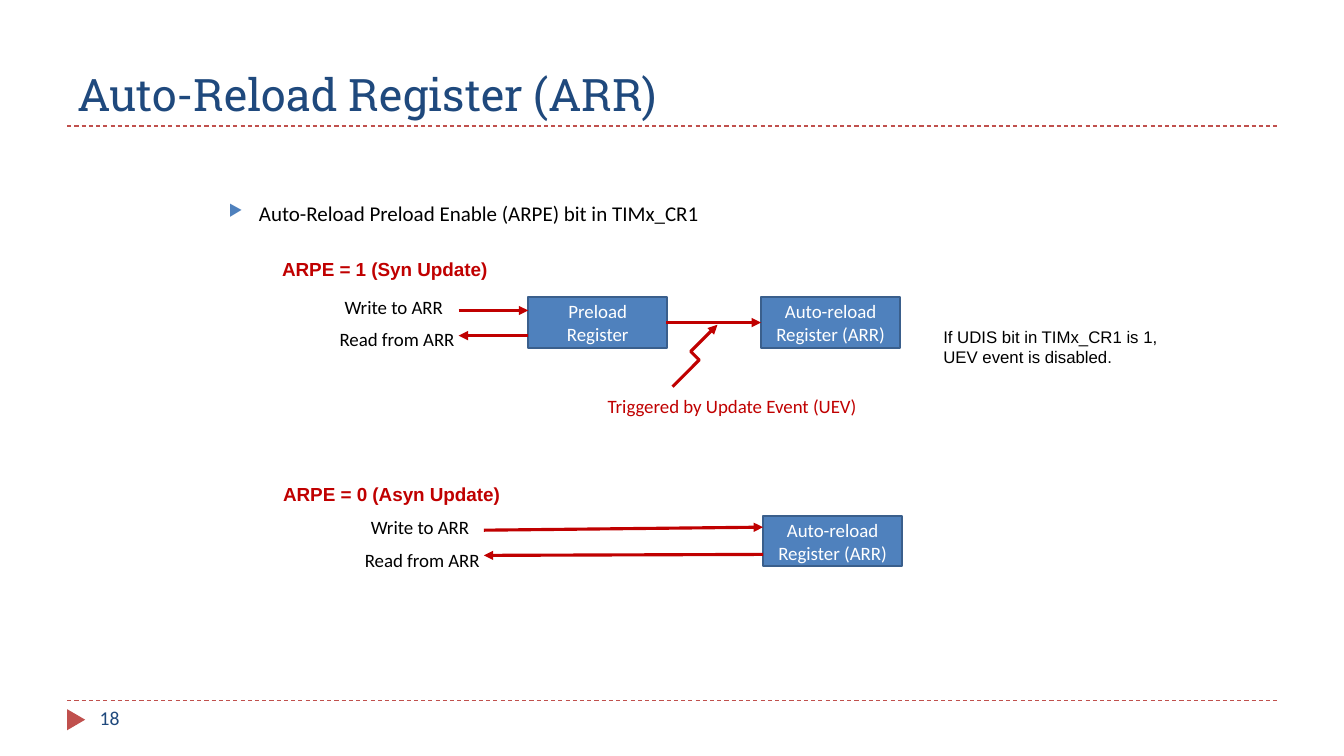
from dataclasses import dataclass

import pptx
import pptx.dml.color
import pptx.enum.dml
import pptx.enum.shapes
import pptx.enum.text
import pptx.oxml
import pptx.oxml.ns
import pptx.util

WIDTH, HEIGHT = pptx.util.Inches(13.333), pptx.util.Inches(7.5)
COLUMNS, ROWS = 40, 30

NAVY, BLUE, EDGE = "1F497D", "4F81BD", "3A5F8C"
RED, BRICK, BLACK, WHITE = "C00000", "C0504D", "000000", "FFFFFF"

SHAPE = pptx.enum.shapes.MSO_SHAPE
CONNECTOR = pptx.enum.shapes.MSO_CONNECTOR
ANCHOR = pptx.enum.text.MSO_ANCHOR
ALIGN = pptx.enum.text.PP_ALIGN
AUTO_SIZE = pptx.enum.text.MSO_AUTO_SIZE


@dataclass
class Register:
    text: str
    col: float
    row: float


@dataclass
class Arrow:
    start: tuple[float, float]
    end: tuple[float, float]
    kind: int = CONNECTOR.STRAIGHT
    angle: int = 0


@dataclass
class Label:
    text: str
    col: float
    row: float
    width: float
    color: str = BLACK
    font: str = "Calibri"
    bold: bool = False


REGISTERS = [
    Register("Preload Register", 15.72, 11.8),
    Register("Auto-reload Register (ARR)", 22.65, 11.8),
    Register("Auto-reload Register (ARR)", 22.71, 20.48),
]

ARROWS = [
    Arrow((19.83, 12.8), (22.65, 12.8)),
    Arrow((13.65, 12.32), (15.72, 12.32)),
    Arrow((15.72, 13.32), (13.65, 13.32)),
    Arrow((19.56, 14.36), (21.81, 13.88), CONNECTOR.ELBOW, 315),
    Arrow((14.4, 21.04), (22.71, 20.92)),
    Arrow((22.71, 22), (14.4, 22.04)),
]

LABELS = [
    Label("Write to ARR", 9.96, 11.52, 3.84),
    Label("Read from ARR", 9.81, 12.8, 4.17),
    Label("Triggered by Update Event (UEV)", 17.79, 15.48, 8.25, RED),
    Label("ARPE = 1 (Syn Update)", 8.1, 10.04, 6.81, RED, "Arial", True),
    Label("ARPE = 0 (Asyn Update)", 8.13, 18.96, 7.14, RED, "Arial", True),
    Label("Write to ARR", 10.74, 20.28, 3.84),
    Label("Read from ARR", 10.56, 21.56, 4.17),
]


def x(col: float) -> int:
    return round(WIDTH * col / COLUMNS)


def y(row: float) -> int:
    return round(HEIGHT * row / ROWS)


def area(col: float, row: float, width: float, height: float) -> tuple:
    return x(col), y(row), x(width), y(height)


def rgb(color: str) -> pptx.dml.color.RGBColor:
    return pptx.dml.color.RGBColor.from_string(color)


def add_xml(parent, tag: str, **attrs: str) -> None:
    child = pptx.oxml.parse_xml(f"<a:{tag} {pptx.oxml.ns.nsdecls('a')}/>")
    for name, value in attrs.items():
        child.set(name, value)
    parent.append(child)


def write(sp, text: str, *, size: float = 13.5, color: str = BLACK,
          font: str = "Calibri", bold: bool = False, align=ALIGN.LEFT,
          anchor=ANCHOR.TOP, wrap: bool = True, grow: bool = False,
          level: int = 0, margin: float = 0, indent: float = 0,
          bullet: str = "") -> None:
    tf = sp.text_frame
    tf.word_wrap = wrap
    tf.auto_size = AUTO_SIZE.SHAPE_TO_FIT_TEXT if grow else AUTO_SIZE.NONE
    tf.vertical_anchor = anchor
    p = tf.paragraphs[0]
    p.alignment = align
    p.level = level
    pPr = p._p.get_or_add_pPr()
    pPr.set("marL", str(x(margin)))
    pPr.set("indent", str(x(indent)))
    if bullet:
        add_xml(pPr, "buClr")
        add_xml(pPr[-1], "srgbClr", val=BLUE)
        add_xml(pPr, "buSzPct", val="76000")
        add_xml(pPr, "buChar", char=bullet)
    r = p.add_run()
    r.text = text
    r.font.size = pptx.util.Pt(size)
    r.font.name = font
    r.font.bold = bold
    r.font.color.rgb = rgb(color)


def add_line(s, start: tuple[float, float], end: tuple[float, float],
             color: str, weight: float, kind=CONNECTOR.STRAIGHT):
    line = s.shapes.add_connector(kind, x(start[0]), y(start[1]),
                                  x(end[0]), y(end[1]))
    line.line.color.rgb = rgb(color)
    line.line.width = pptx.util.Pt(weight)
    add_xml(line._element.spPr, "effectLst")
    return line


def add_rule(s, row: float) -> None:
    rule = add_line(s, (2, row), (38, row), BRICK, 0.75)
    rule.line.dash_style = pptx.enum.dml.MSO_LINE.DASH


def add_arrow(s, arrow: Arrow) -> None:
    line = add_line(s, arrow.start, arrow.end, RED, 2.25, arrow.kind)
    add_xml(line.line._get_or_add_ln(), "tailEnd", type="triangle")
    if arrow.angle:
        line._element.spPr.xfrm.set("rot", str(arrow.angle * 60000))


def add_solid(s, kind, place: tuple, color: str):
    sp = s.shapes.add_shape(kind, *place)
    sp.shadow.inherit = False
    sp.fill.solid()
    sp.fill.fore_color.rgb = rgb(color)
    sp.line.fill.background()
    return sp


def add_register(s, register: Register) -> None:
    sp = add_solid(s, SHAPE.RECTANGLE,
                   area(register.col, register.row, 4.14, 2), BLUE)
    sp.line.color.rgb = rgb(EDGE)
    sp.line.width = pptx.util.Pt(1.5)
    write(sp, register.text, color=WHITE, align=ALIGN.CENTER,
          anchor=ANCHOR.MIDDLE)


def add_text(s, text: str, place: tuple, **style) -> None:
    write(s.shapes.add_textbox(*place), text, **style)


def main() -> None:
    prs = pptx.Presentation()
    prs.slide_width, prs.slide_height = WIDTH, HEIGHT
    s = prs.slides.add_slide(prs.slide_layouts.get_by_name("Title Only"))

    title = s.shapes.title
    title.left, title.top, title.width, title.height = area(2, 0.68, 36, 4.32)
    write(title, "Auto-Reload Register (ARR)", size=32, color=NAVY,
          font="Roboto Slab", anchor=ANCHOR.BOTTOM)

    for row in (5, 27.8):
        add_rule(s, row)
    marker = add_solid(s, SHAPE.ISOSCELES_TRIANGLE,
                       area(1.95, 28.2, 0.63, 0.72), BRICK)
    marker.rotation = 90
    add_text(s, "18", area(2.67, 27.8, 8.67, 1.6), size=14, color=NAVY)

    add_text(s, "Auto-Reload Preload Enable (ARPE) bit in TIMx_CR1",
             area(6.51, 7.76, 27, 1.8), size=15, margin=0.9, indent=-0.9,
             bullet="▶")
    for register in REGISTERS:
        add_register(s, register)
    for arrow in ARROWS:
        add_arrow(s, arrow)
    for label in LABELS:
        add_text(s, label.text, area(label.col, label.row, label.width, 1.32),
                 color=label.color, font=label.font, bold=label.bold,
                 wrap=False, grow=True)
    add_text(s, "If UDIS bit in TIMx_CR1 is 1, UEV event is disabled.",
             area(27.09, 12.76, 7.98, 2), size=12, font="Arial", grow=True,
             level=1, margin=0.69)

    prs.save("out.pptx")


if __name__ == "__main__":
    main()
